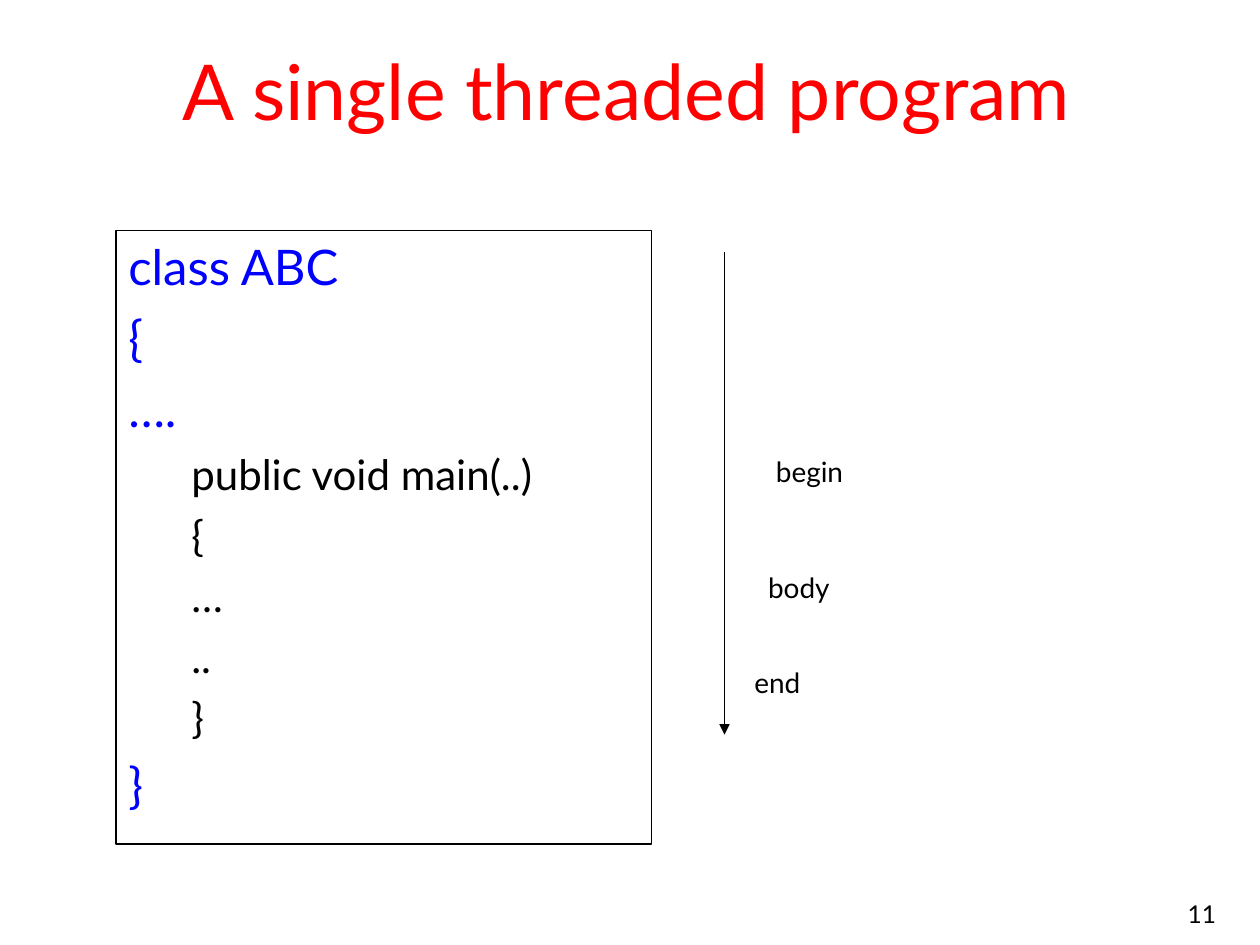
import pptx
import pptx.dml.color
import pptx.enum.shapes
import pptx.enum.text
import pptx.oxml
import pptx.oxml.ns
import pptx.util

Inches = pptx.util.Inches
Align = pptx.enum.text.PP_ALIGN
Anchor = pptx.enum.text.MSO_ANCHOR
FONT = "Lato"
COLORS = {"white": "FFFFFF", "black": "000000", "red": "FF0000", "blue": "0000FF"}
LEVELS = [
    {"size": 28, "color": "blue", "before": 7, "margin": 0.38, "indent": -0.38},
    {"size": 24, "color": "black", "before": 6, "margin": 0.81, "indent": -0.31},
]
CODE = [
    ("class ABC", 0),
    ("{", 0),
    ("….", 0),
    ("public void main(..)", 1),
    ("{", 1),
    ("…", 1),
    ("..", 1),
    ("}", 1),
    ("}", 0),
]
PHASES = [
    ("begin", (6.03, 3.56, 0.79, 0.37)),
    ("body", (5.98, 4.48, 0.72, 0.37)),
    ("end", (5.87, 5.23, 0.6, 0.37)),
]


def rgb(name):
    return pptx.dml.color.RGBColor.from_string(COLORS[name])


def write_text(paragraph, text, size=16, color="black", align=Align.LEFT,
               before=0, margin=0, indent=0):
    properties = paragraph._p.get_or_add_pPr()
    properties.set("marL", str(Inches(margin)))
    properties.set("indent", str(Inches(indent)))
    paragraph.alignment = align
    paragraph.space_before = pptx.util.Pt(before)
    run = paragraph.add_run()
    run.text = text
    run.font.name = FONT
    run.font.size = pptx.util.Pt(size)
    run.font.color.rgb = rgb(color)


def add_box(slide, box, anchor=Anchor.TOP, wrap=True):
    shape = slide.shapes.add_textbox(*map(Inches, box))
    shape.text_frame.word_wrap = wrap
    shape.text_frame.vertical_anchor = anchor
    return shape


def add_title(slide, box, text):
    title = slide.shapes.title
    title.left, title.top, title.width, title.height = map(Inches, box)
    title.fill.solid()
    title.fill.fore_color.rgb = rgb("white")
    title.text_frame.vertical_anchor = Anchor.MIDDLE
    write_text(title.text_frame.paragraphs[0], text, size=44, color="red",
               align=Align.CENTER)


def add_code(slide, box):
    shape = add_box(slide, box)
    shape.line.color.rgb = rgb("black")
    shape.line.width = pptx.util.Pt(0.75)
    frame = shape.text_frame
    for index, (text, level) in enumerate(CODE):
        paragraph = frame.add_paragraph() if index else frame.paragraphs[0]
        paragraph.level = level
        style = dict(LEVELS[level])
        if index == 0:
            style["before"] = 0
        write_text(paragraph, text, **style)


def add_time_arrow(slide, x, top, bottom):
    arrow = slide.shapes.add_connector(
        pptx.enum.shapes.MSO_CONNECTOR.STRAIGHT,
        Inches(x), Inches(top), Inches(x), Inches(bottom))
    arrow.line.color.rgb = rgb("black")
    arrow.line.width = pptx.util.Pt(0.75)
    namespace = pptx.oxml.ns.nsdecls("a")
    arrow.line._get_or_add_ln().append(
        pptx.oxml.parse_xml(f'<a:tailEnd {namespace} type="triangle"/>'))
    arrow._element.spPr.append(pptx.oxml.parse_xml(f"<a:effectLst {namespace}/>"))


def add_phase(slide, box, text):
    shape = add_box(slide, box, wrap=False)
    shape.text_frame.auto_size = pptx.enum.text.MSO_AUTO_SIZE.SHAPE_TO_FIT_TEXT
    write_text(shape.text_frame.paragraphs[0], text, align=Align.CENTER)


def add_page_number(slide, box, text):
    shape = add_box(slide, box, anchor=Anchor.BOTTOM)
    write_text(shape.text_frame.paragraphs[0], text, size=14, align=Align.RIGHT)


def main():
    presentation = pptx.Presentation()
    presentation.slide_width = Inches(10)
    presentation.slide_height = Inches(7.5)
    slide = presentation.slides.add_slide(presentation.slide_layouts[5])
    add_page_number(slide, (7.67, 6.92, 2.08, 0.5), "11")
    add_title(slide, (0.17, 0.17, 9.61, 1.08), "A single threaded program")
    add_code(slide, (0.92, 1.83, 4.25, 4.87))
    add_time_arrow(slide, 5.75, 2, 5.83)
    for text, box in PHASES:
        add_phase(slide, box, text)
    presentation.save("out.pptx")


if __name__ == "__main__":
    main()
